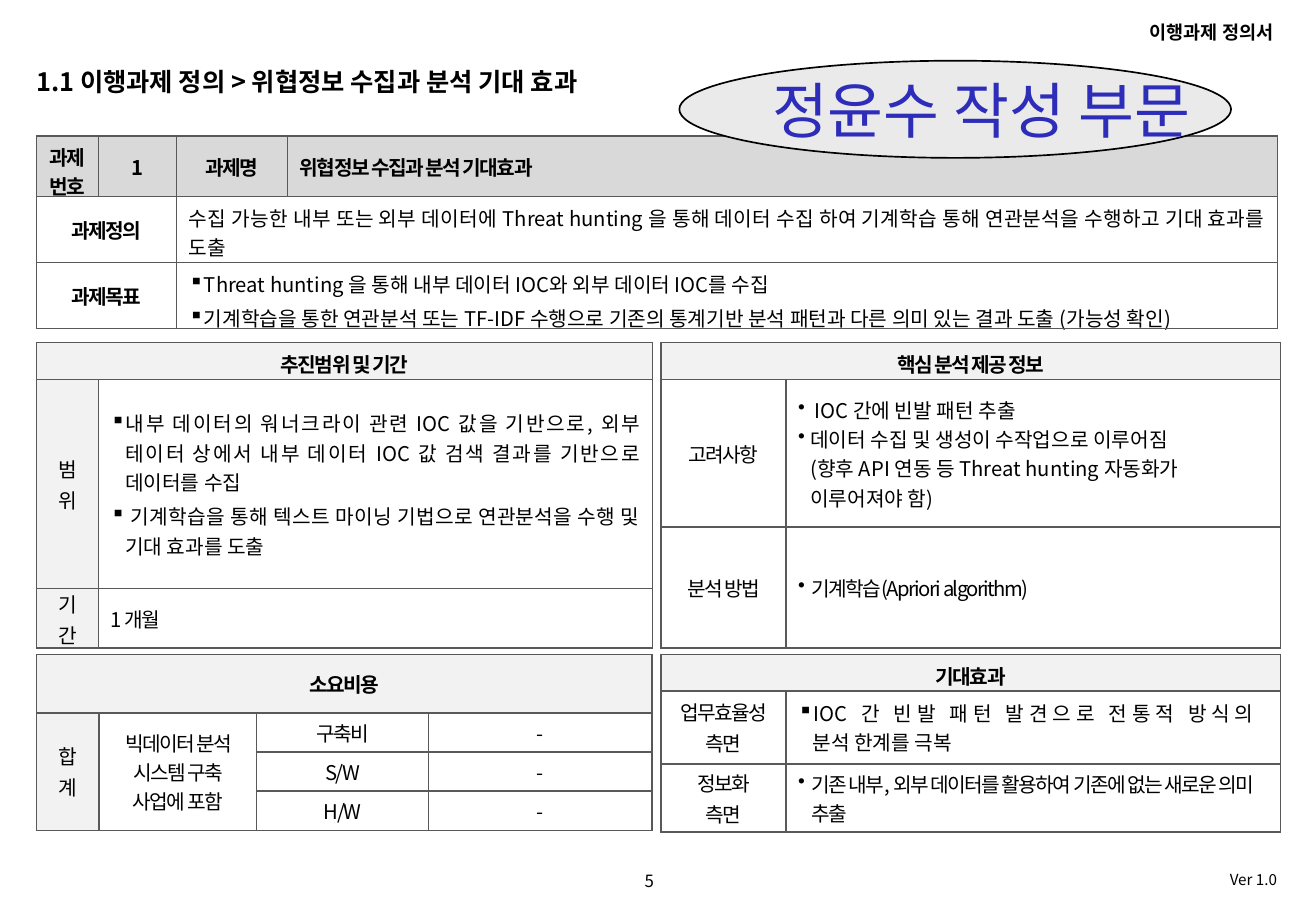
import pptx
import pptx.dml.color
import pptx.enum.shapes
import pptx.enum.text
import pptx.oxml.ns
import pptx.util
from lxml import etree

Pt = pptx.util.Pt
RGBColor = pptx.dml.color.RGBColor
ALIGN = pptx.enum.text.PP_ALIGN
MIDDLE = pptx.enum.text.MSO_ANCHOR.MIDDLE
qn = pptx.oxml.ns.qn

FONT = "Noto Sans CJK KR"
BLACK = RGBColor(0x00, 0x00, 0x00)
WHITE = RGBColor(0xFF, 0xFF, 0xFF)
BAND_GREY = RGBColor(0xD9, 0xD9, 0xD9)
HEAD_GREY = RGBColor(0xF2, 0xF2, 0xF2)
OVAL_GREY = RGBColor(0xEA, 0xEA, 0xEA)
BORDER_GREY = RGBColor(0x59, 0x59, 0x59)
AUTHOR_BLUE = RGBColor(0x2D, 0x2D, 0xB9)


def style_paragraph(paragraph, size, bold=False, align=ALIGN.LEFT, color=BLACK, tight=False):
    """Set alignment and font, with condensed letter spacing when tight."""
    paragraph.alignment = align
    font = paragraph.font
    font.size, font.bold, font.name = Pt(size), bold, FONT
    font.color.rgb = color
    defaults = paragraph._p.pPr.find(qn("a:defRPr"))
    etree.SubElement(defaults, qn("a:ea"), typeface=FONT)
    if tight:
        defaults.set("spc", "-90")


def fill_cell(cell, lines, kind):
    """Fill one table cell with paragraphs in the style of its kind."""
    fill, bold, align, tight, before, margin, bullet, hang = KINDS[kind]
    cell.fill.solid()
    cell.fill.fore_color.rgb = fill
    cell.vertical_anchor = MIDDLE
    cell.margin_left = cell.margin_right = Pt(7.2)
    cell.margin_top = cell.margin_bottom = Pt(margin)
    frame = cell.text_frame
    for index, line in enumerate(lines):
        paragraph = frame.add_paragraph() if index else frame.paragraphs[0]
        paragraph.text = line
        style_paragraph(paragraph, 12, bold, align, tight=tight)
        paragraph.space_before = Pt(before)
        if bullet:
            properties = paragraph._p.pPr
            properties.set("marL", str(Pt(hang)))
            properties.set("indent", str(-Pt(hang)))
            mark = etree.Element(qn("a:buChar"), char=bullet)
            properties.find(qn("a:defRPr")).addprevious(mark)


# fill, bold, alignment, tight, space before, vertical margin, bullet, hanging indent
KINDS = {
    "band": (BAND_GREY, True, ALIGN.CENTER, True, 0, 3.6, None, 0),
    "band name": (BAND_GREY, True, ALIGN.LEFT, True, 0, 3.6, None, 0),
    "head": (HEAD_GREY, True, ALIGN.CENTER, True, 0, 3.6, None, 0),
    "row name": (WHITE, True, ALIGN.CENTER, True, 0, 3.6, None, 0),
    "side": (HEAD_GREY, False, ALIGN.CENTER, True, 1, 0, None, 0),
    "label": (WHITE, False, ALIGN.CENTER, True, 1, 0, None, 0),
    "definition": (WHITE, False, ALIGN.JUSTIFY, False, 3, 3.6, None, 0),
    "goals": (WHITE, False, ALIGN.JUSTIFY, False, 3, 3.6, "▪", 8.6),
    "squares": (WHITE, False, ALIGN.JUSTIFY, False, 3, 0, "▪", 8.6),
    "dots": (WHITE, False, ALIGN.LEFT, False, 0, 3.6, "•", 7.2),
    "tight dots": (WHITE, False, ALIGN.LEFT, True, 1, 0, "•", 8),
    "period": (WHITE, False, ALIGN.LEFT, True, 0, 0, None, 0),
}

# left, top, column widths, row heights,
# cells: row, column, row span, column span, kind, paragraphs
TABLES = [
    (391.9, 388, (74, 293), (21.6, 43.2, 40.3), [
        (0, 0, 1, 2, "head", ["기대효과"]),
        (1, 0, 1, 1, "label", ["업무효율성", "측면"]),
        (1, 1, 1, 1, "squares", ["IOC 간 빈발 패턴 발견으로 전통적 방식의 \n분석 한계를 극복"]),
        (2, 0, 1, 1, "label", ["정보화", "측면"]),
        (2, 1, 1, 1, "tight dots", ["기존 내부, 외부 데이터를 활용하여 기존에 없는 새로운 의미 추출"]),
    ]),
    (21.7, 388, (37, 93.4, 102, 132.4), (34.6, 23.2, 23.2, 23.2), [
        (0, 0, 1, 4, "head", ["소요비용"]),
        (1, 0, 3, 1, "side", ["합", "계"]),
        (1, 1, 3, 1, "label", ["빅데이터 분석 시스템 구축 사업에 포함"]),
        *[(row, 2, 1, 1, "label", [cost])
          for row, cost in enumerate(("구축비", "S/W", "H/W"), 1)],
        *[(row, 3, 1, 1, "label", ["-"]) for row in (1, 2, 3)],
    ]),
    (21.7, 80.6, (36.7, 46.4, 65.8, 586.8), (36, 39, 39), [
        (0, 0, 1, 1, "band", ["과제", "번호"]),
        (0, 1, 1, 1, "band", ["1"]),
        (0, 2, 1, 1, "band", ["과제명"]),
        (0, 3, 1, 1, "band name", ["위협정보 수집과 분석 기대효과"]),
        (1, 0, 1, 2, "row name", ["과제정의"]),
        (1, 2, 1, 2, "definition", [
            "수집 가능한 내부 또는 외부 데이터에 Threat hunting 을 통해 데이터 수집 하여 "
            "기계학습 통해 연관분석을 수행하고 기대 효과를 도출"]),
        (2, 0, 1, 2, "row name", ["과제목표"]),
        (2, 2, 1, 2, "goals", [
            "Threat hunting 을 통해 내부 데이터 IOC와 외부 데이터 IOC를 수집",
            "기계학습을 통한 연관분석 또는 TF-IDF 수행으로 기존의 통계기반 분석 패턴과 "
            "다른 의미 있는 결과 도출 (가능성 확인)"]),
    ]),
    (21.7, 203.1, (36.7, 328.3), (22, 123.8, 35.3), [
        (0, 0, 1, 2, "head", ["추진범위 및 기간"]),
        (1, 0, 1, 1, "side", ["범", "위"]),
        (1, 1, 1, 1, "squares", [
            "내부 데이터의 워너크라이 관련 IOC 값을 기반으로, 외부 테이터 상에서 "
            "내부 데이터 IOC 값 검색 결과를 기반으로 데이터를 수집",
            " 기계학습을 통해 텍스트 마이닝 기법으로 연관분석을 수행 및 기대 효과를 도출"]),
        (2, 0, 1, 1, "side", ["기", "간"]),
        (2, 1, 1, 1, "period", ["1 개월"]),
    ]),
    (391.9, 203.1, (74, 293), (22, 87.4, 71.6), [
        (0, 0, 1, 2, "head", ["핵심 분석 제공 정보"]),
        (1, 0, 1, 1, "label", ["고려사항"]),
        (1, 1, 1, 1, "dots", [
            " IOC 간에 빈발 패턴 추출",
            "데이터 수집 및 생성이 수작업으로 이루어짐\n"
            "(향후 API 연동 등 Threat hunting 자동화가 이루어져야 함)"]),
        (2, 0, 1, 1, "label", ["분석 방법"]),
        (2, 1, 1, 1, "tight dots", ["기계학습(Apriori algorithm)"]),
    ]),
]

# text, left, top, width, height, size, bold, alignment
CAPTIONS = [
    ("5", 351.4, 516, 67, 15, 10, False, ALIGN.CENTER),
    ("Ver 1.0", 465, 516.2, 299, 14, 9, False, ALIGN.RIGHT),
    ("이행과제 정의서", 510, 12.2, 252, 17, 11, True, ALIGN.RIGHT),
    ("1.1 이행과제 정의 > 위협정보 수집과 분석 기대 효과", 14.4, 39, 634, 23, 15, True, ALIGN.LEFT),
]

deck = pptx.Presentation()
deck.slide_width, deck.slide_height = Pt(780), Pt(540)
slide = deck.slides.add_slide(deck.slide_layouts[6])

for text, left, top, width, height, size, bold, align in CAPTIONS:
    caption = slide.shapes.add_textbox(Pt(left), Pt(top), Pt(width), Pt(height)).text_frame
    caption.word_wrap = True
    caption.margin_top = caption.margin_bottom = 0
    caption.text = text
    style_paragraph(caption.paragraphs[0], size, bold, align)

for left, top, widths, heights, entries in TABLES:
    table = slide.shapes.add_table(len(heights), len(widths), Pt(left), Pt(top),
                                   Pt(sum(widths)), Pt(sum(heights))).table
    table.first_row = table.horz_banding = False
    for column, width in zip(table.columns, widths):
        column.width = Pt(width)
    for row, height in zip(table.rows, heights):
        row.height = Pt(height)
    for row, column, row_span, column_span, kind, lines in entries:
        cell = table.cell(row, column)
        if row_span * column_span > 1:
            cell.merge(table.cell(row + row_span - 1, column + column_span - 1))
        fill_cell(cell, lines, kind)
    for cell in table.iter_cells():
        if cell.is_spanned:
            fill_cell(cell, [""], "label")
        for index, side in enumerate(("lnL", "lnR", "lnT", "lnB")):
            border = etree.Element(qn("a:" + side), w=str(Pt(1)))
            ink = etree.SubElement(border, qn("a:solidFill"))
            etree.SubElement(ink, qn("a:srgbClr"), val=str(BORDER_GREY))
            cell._tc.get_or_add_tcPr().insert(index, border)

author = slide.shapes.add_shape(pptx.enum.shapes.MSO_SHAPE.OVAL,
                                Pt(402.7), Pt(36), Pt(327), Pt(57.6))
author.shadow.inherit = False
author.fill.solid()
author.fill.fore_color.rgb = OVAL_GREY
author.line.color.rgb = BLACK
author.line.width = Pt(1)
author.text_frame.word_wrap = False
author.text_frame.vertical_anchor = MIDDLE
author.text_frame.text = "정윤수 작성 부문"
style_paragraph(author.text_frame.paragraphs[0], 36, color=AUTHOR_BLUE)

deck.save("out.pptx")
